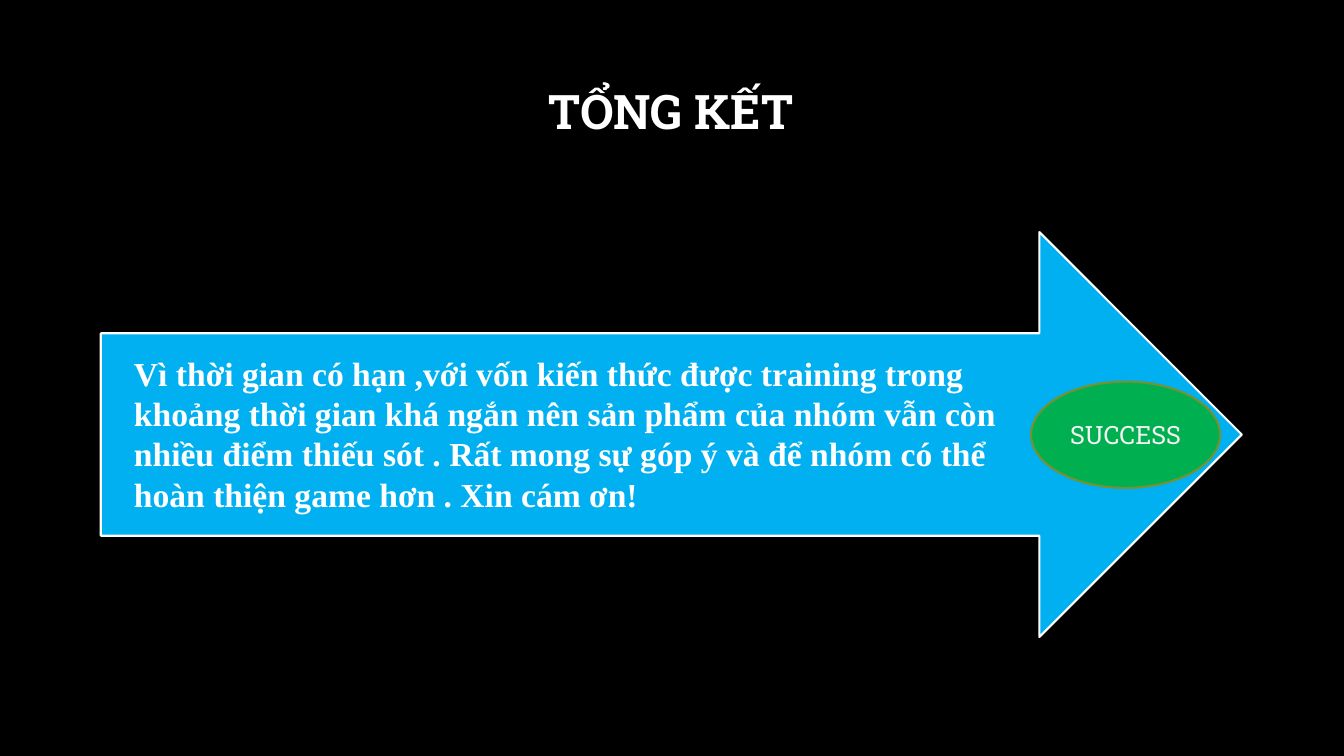
from pptx import Presentation
from pptx.dml.color import RGBColor
from pptx.enum.shapes import MSO_SHAPE
from pptx.enum.text import MSO_ANCHOR, PP_ALIGN
from pptx.util import Pt

TITLE = "TỔNG KẾT"
CLOSING = (
    "Vì thời gian có hạn ,với vốn kiến thức được training trong khoảng thời gian "
    "khá ngắn nên sản phẩm của nhóm vẫn còn nhiều điểm thiếu sót . Rất mong sự góp ý "
    "và để nhóm có thể hoàn thiện game hơn . Xin cám ơn!"
)
BADGE = "SUCCESS"

BLACK = RGBColor(0x00, 0x00, 0x00)
WHITE = RGBColor(0xFF, 0xFF, 0xFF)
PALE = RGBColor(0xF2, 0xF2, 0xF2)
BLUE = RGBColor(0x00, 0xB0, 0xF0)
GREEN = RGBColor(0x00, 0xB0, 0x50)
OLIVE = RGBColor(0x75, 0x92, 0x32)
SLAB = "Roboto Slab"
SERIF = "Times New Roman"

LEFT, WIDTH = 72, 815


def write(box, text, font, size, color, bold, align, anchor):
    frame = box.text_frame
    frame.word_wrap = True
    frame.vertical_anchor = anchor
    para = frame.paragraphs[0]
    para.alignment = align
    span = para.add_run()
    span.text = text
    span.font.name = font
    span.font.size = Pt(size)
    span.font.bold = bold
    span.font.color.rgb = color
    return para


def add_figure(page, kind, bounds, fill, line):
    figure = page.shapes.add_shape(kind, *map(Pt, bounds))
    figure.shadow.inherit = False
    figure.fill.solid()
    figure.fill.fore_color.rgb = fill
    figure.line.color.rgb = line
    figure.line.width = Pt(1.5)
    return figure


def main():
    deck = Presentation()
    deck.slide_width, deck.slide_height = Pt(960), Pt(540)
    page = deck.slides.add_slide(deck.slide_layouts[5])
    page.background.fill.solid()
    page.background.fill.fore_color.rgb = BLACK

    title = page.shapes.title
    title.left, title.top, title.width, title.height = map(Pt, (LEFT, 29.5, WIDTH, 104.5))
    heading = write(title, TITLE, SLAB, 34, WHITE, True, PP_ALIGN.CENTER, MSO_ANCHOR.MIDDLE)
    heading.line_spacing = 0.9

    add_figure(page, MSO_SHAPE.RIGHT_ARROW, (LEFT, 165.8, WIDTH, 289.2), BLUE, WHITE)

    badge = add_figure(page, MSO_SHAPE.OVAL, (736.5, 272.6, 135, 75.9), GREEN, OLIVE)
    write(badge, BADGE, SLAB, 18, PALE, False, PP_ALIGN.CENTER, MSO_ANCHOR.MIDDLE)

    closing = page.shapes.add_textbox(*map(Pt, (88.6, 248.4, 648, 123.8)))
    write(closing, CLOSING, SERIF, 24, WHITE, True, PP_ALIGN.LEFT, MSO_ANCHOR.TOP)

    deck.save("out.pptx")


if __name__ == "__main__":
    main()
